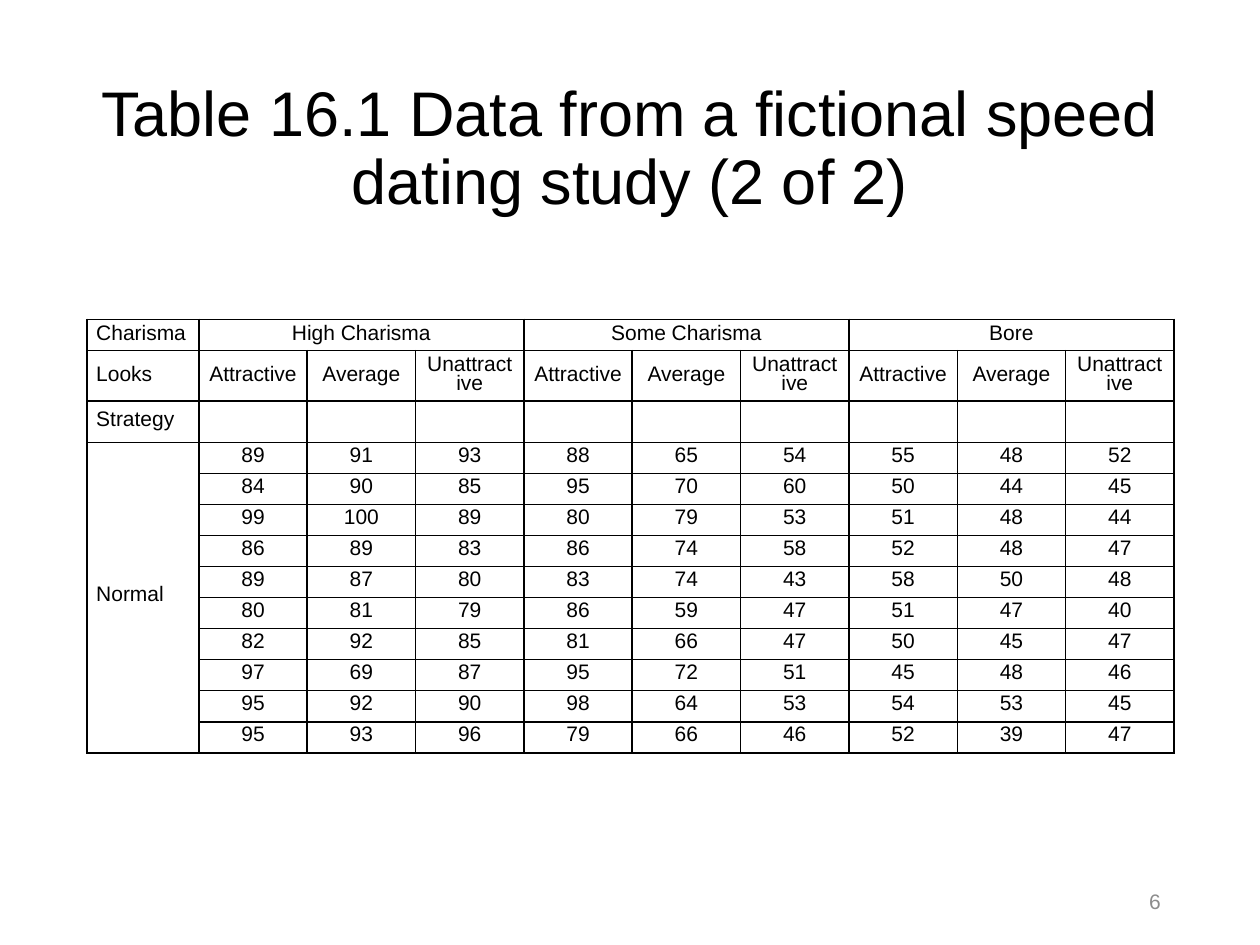
from lxml import etree
from pptx import Presentation
from pptx.dml.color import RGBColor
from pptx.enum.text import MSO_ANCHOR, PP_ALIGN
from pptx.oxml.ns import qn
from pptx.util import Cm, Pt

LEFT, CENTER, RIGHT = PP_ALIGN.LEFT, PP_ALIGN.CENTER, PP_ALIGN.RIGHT
MIDDLE = MSO_ANCHOR.MIDDLE
BLACK = RGBColor(0x00, 0x00, 0x00)
GREY = RGBColor(0x8C, 0x8C, 0x8C)
FONT = "Arial"

# Content
TITLE = "Table 16.1 Data from a fictional speed dating study (2 of 2)"
PAGE_NUMBER = "6"
CHARISMA = ["High Charisma", "Some Charisma", "Bore"]
LOOKS = ["Attractive", "Average", "Unattractive"]
STRATEGY = "Normal"
RATINGS = [
    (89, 91, 93, 88, 65, 54, 55, 48, 52),
    (84, 90, 85, 95, 70, 60, 50, 44, 45),
    (99, 100, 89, 80, 79, 53, 51, 48, 44),
    (86, 89, 83, 86, 74, 58, 52, 48, 47),
    (89, 87, 80, 83, 74, 43, 58, 50, 48),
    (80, 81, 79, 86, 59, 47, 51, 47, 40),
    (82, 92, 85, 81, 66, 47, 50, 45, 47),
    (97, 69, 87, 95, 72, 51, 45, 48, 46),
    (95, 92, 90, 98, 64, 53, 54, 53, 45),
    (95, 93, 96, 79, 66, 46, 52, 39, 47),
]

# Table grid: three header rows, then the ratings
HEADER_ROWS = 3
LOOKS_ROW, STRATEGY_ROW = 1, 2
GROUP = len(LOOKS)
RATING_COLUMNS = GROUP * len(CHARISMA)
ROWS, COLUMNS = HEADER_ROWS + len(RATINGS), 1 + RATING_COLUMNS
TABLE_WIDTH, TABLE_HEIGHT = 21.92, 8.74
LABEL_WIDTH = 2.26
TALL_ROWS = {LOOKS_ROW: 1.02, STRATEGY_ROW: 0.83}
RATING_WIDTH = (TABLE_WIDTH - LABEL_WIDTH) / RATING_COLUMNS
ROW_HEIGHT = (TABLE_HEIGHT - sum(TALL_ROWS.values())) / (ROWS - len(TALL_ROWS))


def style_paragraph(paragraph, size, color, align, spacing):
    paragraph.alignment = align
    paragraph.line_spacing = spacing
    for run in paragraph.runs:
        run.font.name = FONT
        run.font.size = Pt(size)
        run.font.color.rgb = color


def add_text(slide, text, left, top, width, height, size, color, align, spacing=1.0):
    frame = slide.shapes.add_textbox(Cm(left), Cm(top), Cm(width), Cm(height)).text_frame
    frame.word_wrap = True
    frame.vertical_anchor = MIDDLE
    frame.text = text
    style_paragraph(frame.paragraphs[0], size, color, align, spacing)


def add_borders(cell):
    properties = cell._tc.get_or_add_tcPr()
    for position, side in enumerate(("a:lnL", "a:lnR", "a:lnT", "a:lnB")):
        line = etree.Element(qn(side), w=str(Pt(1)))
        fill = etree.SubElement(line, qn("a:solidFill"))
        etree.SubElement(fill, qn("a:srgbClr"), val=str(BLACK))
        properties.insert(position, line)


def add_ratings_table(slide):
    table = slide.shapes.add_table(
        ROWS, COLUMNS, Cm(1.75), Cm(6.44), Cm(TABLE_WIDTH), Cm(TABLE_HEIGHT)
    ).table
    table.first_row = table.horz_banding = False
    for index, column in enumerate(table.columns):
        column.width = Cm(RATING_WIDTH if index else LABEL_WIDTH)
    for index, row in enumerate(table.rows):
        row.height = Cm(TALL_ROWS.get(index, ROW_HEIGHT))

    # Wording and spans
    for index, label in enumerate(["Charisma", "Looks", "Strategy", STRATEGY]):
        table.cell(index, 0).text = label
    table.cell(HEADER_ROWS, 0).merge(table.cell(ROWS - 1, 0))
    for index, level in enumerate(CHARISMA):
        first = 1 + index * GROUP
        table.cell(0, first).text = level
        table.cell(0, first).merge(table.cell(0, first + GROUP - 1))
    for column, look in enumerate(LOOKS * len(CHARISMA), 1):
        table.cell(LOOKS_ROW, column).text = look
    for row, ratings in enumerate(RATINGS, HEADER_ROWS):
        for column, rating in enumerate(ratings, 1):
            table.cell(row, column).text = str(rating)

    # Look of every cell
    for row in range(ROWS):
        spacing = Pt(11 if row <= LOOKS_ROW else 10)
        for column in range(COLUMNS):
            cell = table.cell(row, column)
            cell.fill.background()
            cell.vertical_anchor = MIDDLE
            cell.margin_left = cell.margin_right = Cm(0.19)
            cell.margin_top = cell.margin_bottom = 0
            align = CENTER if column else LEFT
            style_paragraph(cell.text_frame.paragraphs[0], 12, BLACK, align, spacing)
            add_borders(cell)


def main():
    deck = Presentation()
    deck.slide_width, deck.slide_height = Cm(25.4), Cm(19.05)
    slide = deck.slides.add_slide(deck.slide_layouts[6])
    add_text(slide, TITLE, 1.75, 1.19, 21.9, 3.68, 36, BLACK, CENTER, 0.9)
    add_ratings_table(slide)
    add_text(slide, PAGE_NUMBER, 17.93, 17.65, 5.72, 1.02, 12, GREY, RIGHT)
    deck.save("out.pptx")


if __name__ == "__main__":
    main()
